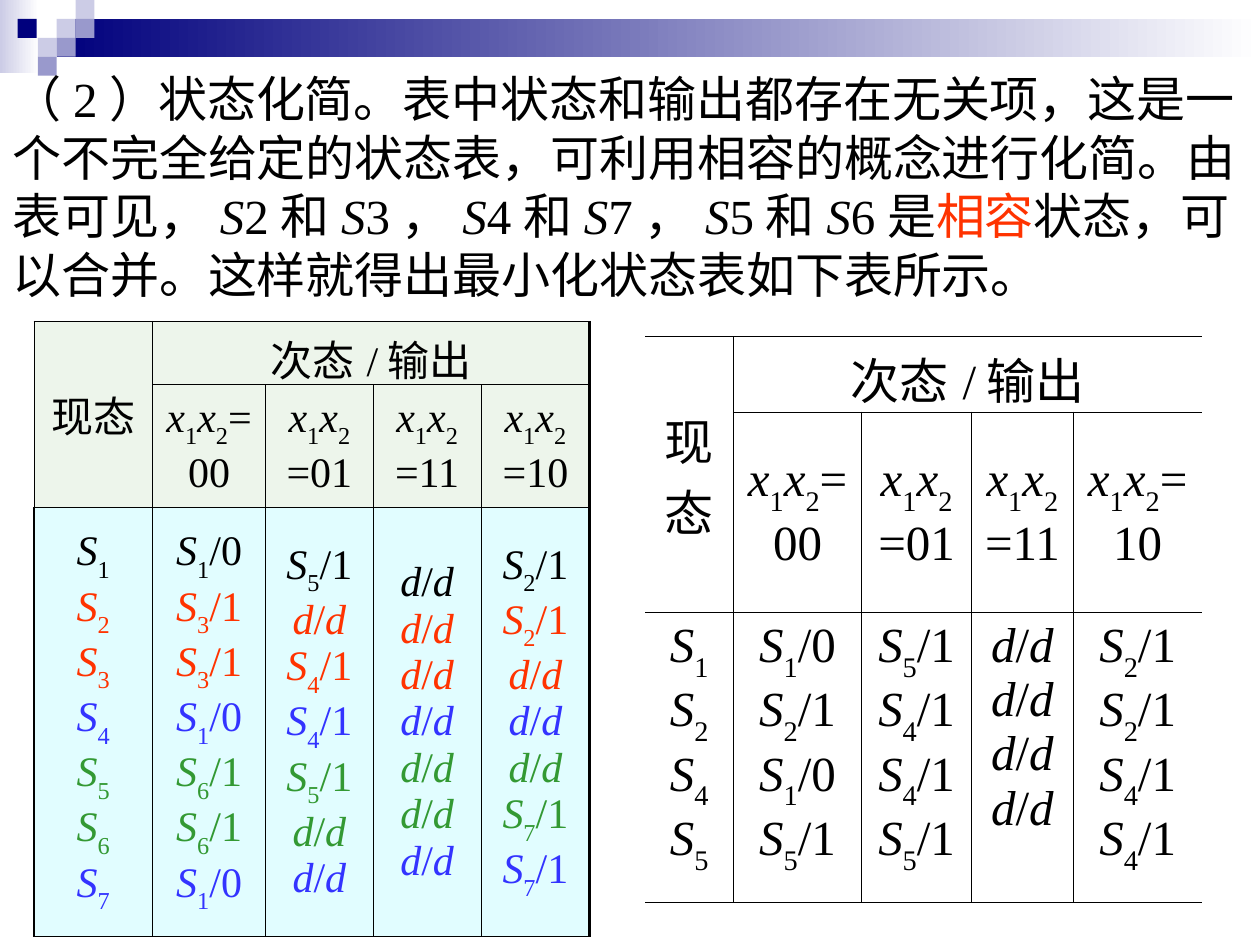
from dataclasses import dataclass
from itertools import groupby

from lxml import etree
from pptx import Presentation
from pptx.dml.color import RGBColor
from pptx.enum.shapes import MSO_SHAPE
from pptx.enum.text import MSO_ANCHOR, PP_ALIGN
from pptx.oxml.ns import qn
from pptx.util import Inches, Pt

RECT = MSO_SHAPE.RECTANGLE
MIDDLE, TOP = MSO_ANCHOR.MIDDLE, MSO_ANCHOR.TOP
CENTER = PP_ALIGN.CENTER
PLAIN_TABLE = "{2D5ABB26-0587-4C30-8999-92F81FD0307C}"


@dataclass(frozen=True)
class Theme:
    font: str = "Times New Roman"
    body: int = 28
    small: int = 24
    ink: str = "000000"
    white: str = "FFFFFF"
    red: str = "FF3300"
    blue: str = "3333FF"
    green: str = "339933"
    navy: str = "00007D"
    mid: str = "9999CC"
    pale: str = "CCCCE6"
    head_fill: str = "EDF5EB"
    body_fill: str = "E1FDFF"
    thin: float = 0.45
    thick: float = 1.47


T = Theme()

INTRO = [
    ("（2）状态化简。表中状态和输出都存在无关项，这是一个不完全给定的状态表，"
     "可利用相容的概念进行化简。由表可见，S2和S3，S4和S7，S5和S6是", T.ink),
    ("相容", T.red),
    ("状态，可以合并。这样就得出最小化状态表如下表所示。", T.ink),
]
INPUTS = ["x1x2=00", "x1x2=01", "x1x2=11", "x1x2=10"]
FULL_STATES = [
    "S1 S2 S3 S4 S5 S6 S7",
    "S1/0 S3/1 S3/1 S1/0 S6/1 S6/1 S1/0",
    "S5/1 d/d S4/1 S4/1 S5/1 d/d d/d",
    "d/d d/d d/d d/d d/d d/d d/d",
    "S2/1 S2/1 d/d d/d d/d S7/1 S7/1",
]
FULL_COLORS = [T.ink, T.red, T.red, T.blue, T.green, T.green, T.blue]
MINIMAL_STATES = [
    "S1 S2 S4 S5",
    "S1/0 S2/1 S1/0 S5/1",
    "S5/1 S4/1 S4/1 S5/1",
    "d/d d/d d/d d/d",
    "S2/1 S2/1 S4/1 S4/1",
]
MINIMAL_COLORS = [T.ink] * 4


def rgb(color):
    return RGBColor.from_string(color)


# Decoration
def add_block(s, left, top, width, height, color, fade=False):
    sp = s.shapes.add_shape(RECT, *map(Inches, (left, top, width, height)))
    sp.shadow.inherit = False
    sp.line.fill.background()
    if fade:
        sp.fill.gradient()
        sp.fill.gradient_angle = 180
        for stop, stop_color in zip(sp.fill.gradient_stops, (T.white, color)):
            stop.color.rgb = rgb(stop_color)
    else:
        sp.fill.solid()
        sp.fill.fore_color.rgb = rgb(color)


def add_banner(s):
    add_block(s, 0, 0, 0.31, 0.58, T.pale, fade=True)
    add_block(s, 0.45, 0.15, 9.55, 0.3, T.navy, fade=True)
    squares = [(0.45, 0.15, T.pale), (0.6, 0, T.pale), (0.6, 0.15, T.mid),
               (0.3, 0.3, T.pale), (0.14, 0.15, T.navy), (0.45, 0.3, T.mid),
               (0.3, 0.45, T.mid)]
    for left, top, color in squares:
        add_block(s, left, top, 0.15, 0.15, color)


# Text: variables are italic, and an index after S or x is a subscript
def add_symbols(p, text, subscripts=True):
    def style(i):
        if text[i] in "Sdx":
            return "variable"
        if subscripts and i and text[i - 1] in "Sx":
            return "index"
        return "plain"

    runs = []
    for kind, places in groupby(range(len(text)), key=style):
        r = p.add_run()
        r.text = "".join(text[i] for i in places)
        if kind == "variable":
            r.font.italic = True
        elif kind == "index":
            r._r.get_or_add_rPr().set("baseline", "-30000")
        runs.append(r)
    return runs


def set_font(p, size, color=None):
    p.font.name = T.font
    p.font.size = Pt(size)
    if color:
        p.font.color.rgb = rgb(color)


def add_intro(s):
    tf = s.shapes.add_textbox(0, Inches(0.49), Inches(10), Inches(1.97)).text_frame
    tf.word_wrap = True
    tf.vertical_anchor = MIDDLE
    p = tf.paragraphs[0]
    set_font(p, T.body)
    for text, color in INTRO:
        for r in add_symbols(p, text, subscripts=False):
            r.font.color.rgb = rgb(color)


# Tables
def set_borders(cell, widths):
    tc_pr = cell._tc.get_or_add_tcPr()
    for side, width in zip("LRTB", widths):
        ln = etree.SubElement(tc_pr, qn(f"a:ln{side}"), w=str(int(Pt(width))))
        if width:
            fill = etree.SubElement(ln, qn("a:solidFill"))
            etree.SubElement(fill, qn("a:srgbClr"), val=T.ink)
        else:
            etree.SubElement(ln, qn("a:noFill"))


def fill_cell(cell, lines, colors, size, anchor, fill):
    cell.vertical_anchor = anchor
    if fill:
        cell.fill.solid()
        cell.fill.fore_color.rgb = rgb(fill)
    else:
        cell.fill.background()
    tf = cell.text_frame
    for i, (line, color) in enumerate(zip(lines, colors)):
        p = tf.paragraphs[0] if i == 0 else tf.add_paragraph()
        p.alignment = CENTER
        set_font(p, size, color)
        add_symbols(p, line)


def add_state_table(s, left, top, cols, rows, states, colors, size,
                    fills, body_anchor, left_edges, right_edge):
    frame = s.shapes.add_table(len(rows), len(cols), Inches(left), Inches(top),
                               Inches(sum(cols)), Inches(sum(rows)))
    table = frame.table
    table.first_row = table.horz_banding = False
    table._tbl.tblPr.find(qn("a:tableStyleId")).text = PLAIN_TABLE
    for col, width in zip(table.columns, cols):
        col.width = Inches(width)
    for row, height in zip(table.rows, rows):
        row.height = Inches(height)
    table.cell(0, 0).merge(table.cell(1, 0))
    table.cell(0, 1).merge(table.cell(0, 4))

    content = [["现态", "次态/输出"], [None] + INPUTS, states]
    for r, values in enumerate(content):
        for c, value in enumerate(values):
            if value is None:
                continue
            cell = table.cell(r, c)
            at_right = c == len(values) - 1
            set_borders(cell, (left_edges[r] if c == 0 else T.thin,
                               right_edge if at_right else T.thin, T.thin, T.thin))
            fill_cell(cell, value.split(), colors, size,
                      body_anchor if r == 2 else MIDDLE, fills[r])


def main():
    prs = Presentation()
    prs.slide_width, prs.slide_height = Inches(10), Inches(7.5)
    s = prs.slides.add_slide(prs.slide_layouts[6])
    add_banner(s)
    add_intro(s)
    # Minimal table on the right, open at both sides
    add_state_table(s, 5.12, 2.67, [0.7, 1.02, 0.87, 0.81, 1.02], [0.6, 1.59, 2.3],
                    MINIMAL_STATES, MINIMAL_COLORS, T.body,
                    [None] * 3, TOP, [0] * 3, 0)
    # Full table on the left, compatible states share a colour
    add_state_table(s, 0.27, 2.55, [0.94, 0.9, 0.85, 0.86, 0.86], [0.5, 0.97, 3.41],
                    FULL_STATES, FULL_COLORS, T.small,
                    [T.head_fill, T.head_fill, T.body_fill], MIDDLE,
                    [T.thin, T.thin, T.thick], T.thick)
    prs.save("out.pptx")


if __name__ == "__main__":
    main()
